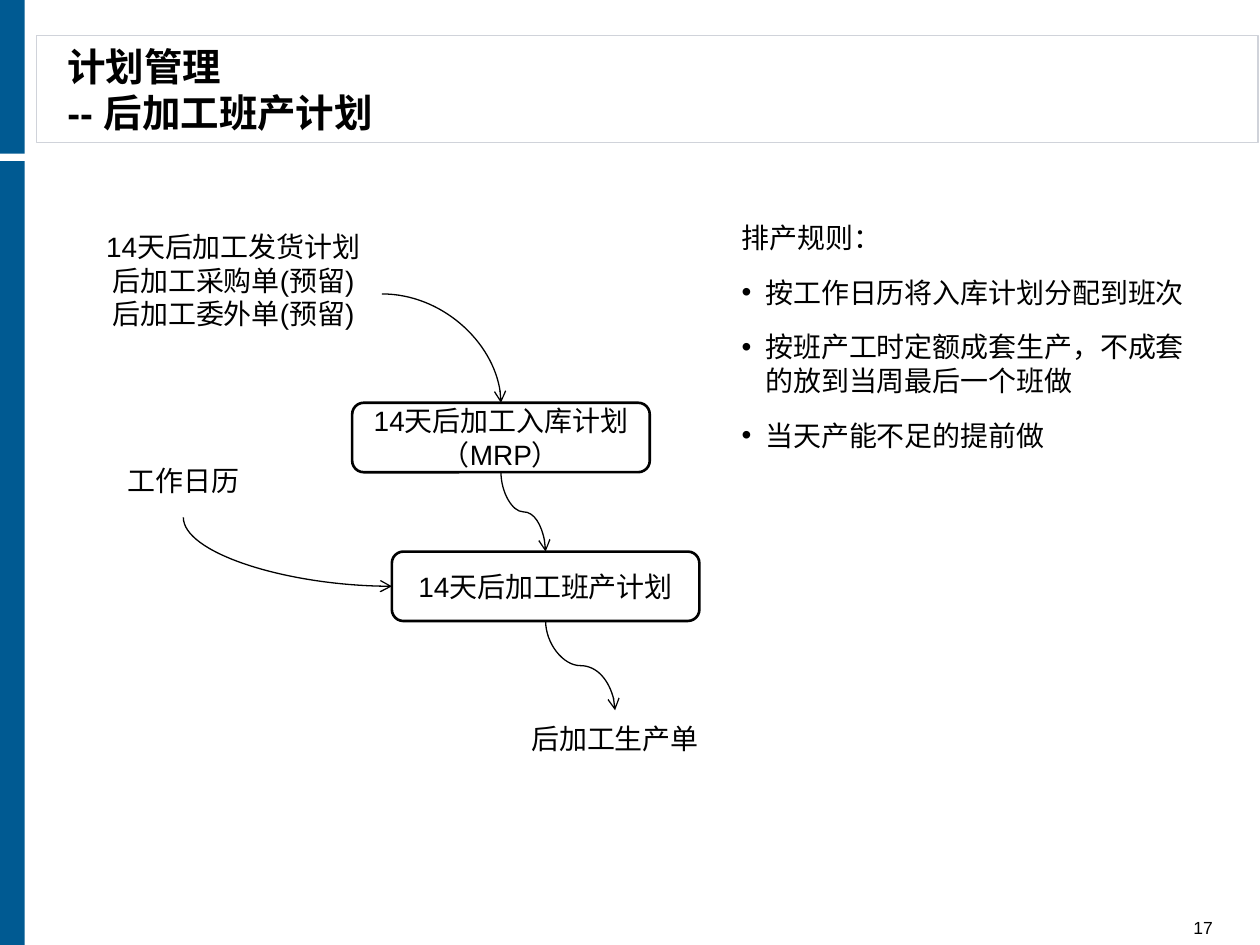
from dataclasses import dataclass

import pptx
import pptx.dml.color
import pptx.enum.shapes
import pptx.enum.text
import pptx.oxml
import pptx.oxml.ns
import pptx.util
from lxml import etree

Cm = pptx.util.Cm
Pt = pptx.util.Pt
qn = pptx.oxml.ns.qn
Preset = pptx.enum.shapes.MSO_SHAPE
Align = pptx.enum.text.PP_ALIGN
Anchor = pptx.enum.text.MSO_ANCHOR
TOP, LEFT, BOTTOM, RIGHT = range(4)  # connection sites


@dataclass(frozen=True)
class Theme:
    font: str = "Arial"
    ink: str = "000000"
    paper: str = "FFFFFF"
    accent: str = "005A92"
    frame: str = "D0D3DA"
    title_size: float = 22
    body_size: float = 16
    number_size: float = 10


@dataclass(frozen=True)
class Box:
    left: float
    top: float
    width: float
    height: float


@dataclass(frozen=True)
class Node:
    key: str
    box: Box
    lines: tuple[str, ...]
    outlined: bool = False


@dataclass(frozen=True)
class Flow:
    source: str
    target: str
    start: int
    finish: int


THEME = Theme()

NODES = (
    Node("inputs", Box(1.71, 4.53, 5.99, 2.79),
         ("14天后加工发货计划", "后加工采购单(预留)", "后加工委外单(预留)")),
    Node("calendar", Box(1.09, 9.13, 5.21, 1.4), ("工作日历",)),
    Node("receipt plan", Box(7.1, 8.12, 6, 1.4), ("14天后加工入库计划（MRP）",), True),
    Node("shift plan", Box(7.9, 11.12, 6.2, 1.4), ("14天后加工班产计划",), True),
    Node("work order", Box(9.7, 14.32, 5.4, 1.4), ("后加工生产单",)),
)
FLOWS = (
    Flow("inputs", "receipt plan", RIGHT, TOP),
    Flow("receipt plan", "shift plan", BOTTOM, TOP),
    Flow("shift plan", "work order", BOTTOM, TOP),
    Flow("calendar", "shift plan", BOTTOM, LEFT),
)
RULES = (
    "按工作日历将入库计划分配到班次",
    "按班产工时定额成套生产，不成套的放到当周最后一个班做",
    "当天产能不足的提前做",
)


def rgb(value: str):
    return pptx.dml.color.RGBColor.from_string(value)


def place(shape, box: Box) -> None:
    shape.left, shape.top = Cm(box.left), Cm(box.top)
    shape.width, shape.height = Cm(box.width), Cm(box.height)


def write_text(frame, text: str, *, size: float = THEME.body_size, bold: bool = False,
               align=Align.LEFT, first: bool = False, space: float = 0,
               bullet: bool = False) -> None:
    """Write one paragraph; a newline becomes a line break."""
    paragraph = frame.paragraphs[0] if first else frame.add_paragraph()
    paragraph.alignment = align
    paragraph.space_before = paragraph.space_after = Pt(space)
    paragraph.level = 1 if bullet else 0
    properties = paragraph._p.get_or_add_pPr()
    indent = Cm(0.48) if bullet else 0
    properties.set("marL", str(indent))
    properties.set("indent", str(-indent))
    if bullet:
        etree.SubElement(properties, qn("a:buFont")).set("typeface", THEME.font)
        etree.SubElement(properties, qn("a:buChar")).set("char", "•")
    else:
        etree.SubElement(properties, qn("a:buNone"))
    for index, line in enumerate(text.split("\n")):
        if index:
            paragraph.add_line_break()
        run = paragraph.add_run()
        run.text = line
        run.font.name, run.font.size, run.font.bold = THEME.font, Pt(size), bold
        run.font.color.rgb = rgb(THEME.ink)


def set_frame(frame, anchor, vertical_margin: float = 0) -> None:
    frame.word_wrap = True
    frame.auto_size = pptx.enum.text.MSO_AUTO_SIZE.NONE
    frame.vertical_anchor = anchor
    frame.margin_left = frame.margin_right = Cm(0.25)
    frame.margin_top = frame.margin_bottom = Cm(vertical_margin)


def add_box(slide, preset, box: Box, fill: str | None, line: str | None = None,
            weight: float = 0.75):
    shape = slide.shapes.add_shape(preset, 0, 0, 0, 0)
    place(shape, box)
    shape.shadow.inherit = False
    if fill:
        shape.fill.solid()
        shape.fill.fore_color.rgb = rgb(fill)
    else:
        shape.fill.background()
    if line:
        shape.line.color.rgb = rgb(line)
        shape.line.width = Pt(weight)
    else:
        shape.line.fill.background()
    return shape


def add_node(slide, node: Node):
    if node.outlined:
        shape = add_box(slide, Preset.ROUNDED_RECTANGLE, node.box, THEME.paper, THEME.ink, 1.5)
    else:
        shape = add_box(slide, Preset.FLOWCHART_DOCUMENT, node.box, None)
    set_frame(shape.text_frame, Anchor.MIDDLE)
    for index, line in enumerate(node.lines):
        write_text(shape.text_frame, line, align=Align.CENTER, first=index == 0)
    return shape


def site_point(shape, site: int) -> tuple[int, int]:
    across, down = {TOP: (0.5, 0), LEFT: (0, 0.5), RIGHT: (1, 0.5),
                    BOTTOM: (0.5, 1)}[site]
    if site == BOTTOM and shape.auto_shape_type == Preset.FLOWCHART_DOCUMENT:
        down = 0.93  # the wavy edge sits above the box bottom
    return int(shape.left + across * shape.width), int(shape.top + down * shape.height)


def add_flow(slide, flow: Flow, shapes: dict) -> None:
    source, target = shapes[flow.source], shapes[flow.target]
    (x1, y1), (x2, y2) = site_point(source, flow.start), site_point(target, flow.finish)
    connector = slide.shapes.add_connector(
        pptx.enum.shapes.MSO_CONNECTOR.CURVE, x1, y1, x2, y2)
    connector.begin_connect(source, flow.start)
    connector.end_connect(target, flow.finish)
    connector.line.color.rgb = rgb(THEME.ink)
    connector.line.width = Pt(0.75)

    # A curve that leaves downwards is a turned and mirrored sideways curve
    properties = connector._element.spPr
    width, height = x2 - x1, y2 - y1
    if flow.start == BOTTOM:
        width, height = height, width
        transform = properties.find(qn("a:xfrm"))
        transform.set("rot", str(270 * 60000))
        transform.set("flipH", "1")
    connector.left, connector.top = (x1 + x2 - width) // 2, (y1 + y2 - height) // 2
    connector.width, connector.height = width, height
    s_curve = flow.start == BOTTOM and flow.finish == TOP
    properties.find(qn("a:prstGeom")).set(
        "prst", "curvedConnector3" if s_curve else "curvedConnector2")
    etree.SubElement(properties.find(qn("a:ln")), qn("a:tailEnd")).set("type", "arrow")
    etree.SubElement(properties, qn("a:effectLst"))


def main() -> None:
    presentation = pptx.Presentation()
    presentation.slide_width, presentation.slide_height = Cm(25.4), Cm(19.05)
    slide = presentation.slides.add_slide(presentation.slide_layouts[1])
    title, body = slide.placeholders[0], slide.placeholders[1]

    # Title frame and side bars, sent behind the placeholders
    for box, fill, line in (
        (Box(0.74, 0.72, 24.62, 2.16), THEME.paper, THEME.frame),
        (Box(0, 3.25, 0.5, 15.8), THEME.accent, None),
        (Box(0, 0, 0.5, 3.1), THEME.accent, None),
    ):
        shape = add_box(slide, Preset.RECTANGLE, box, fill, line)
        slide.shapes._spTree.insert(2, shape._element)

    # Title
    place(title, Box(1.11, 0.79, 16, 2.01))
    set_frame(title.text_frame, Anchor.MIDDLE)
    write_text(title.text_frame, "计划管理\n-- 后加工班产计划",
               size=THEME.title_size, bold=True, first=True)

    # Scheduling rules
    place(body, Box(14.7, 4.32, 9.8, 4.95))
    set_frame(body.text_frame, Anchor.TOP, 0.13)
    write_text(body.text_frame, "排产规则：", space=6, first=True)
    for rule in RULES:
        write_text(body.text_frame, rule, space=6, bullet=True)

    # Planning flow
    shapes = {node.key: add_node(slide, node) for node in NODES}
    for flow in FLOWS:
        add_flow(slide, flow, shapes)

    # Page number
    number = slide.shapes.add_textbox(0, 0, 0, 0)
    place(number, Box(22.31, 18.45, 2.39, 0.46))
    set_frame(number.text_frame, Anchor.BOTTOM)
    write_text(number.text_frame, "17", size=THEME.number_size, align=Align.RIGHT, first=True)

    presentation.save("out.pptx")


main()
